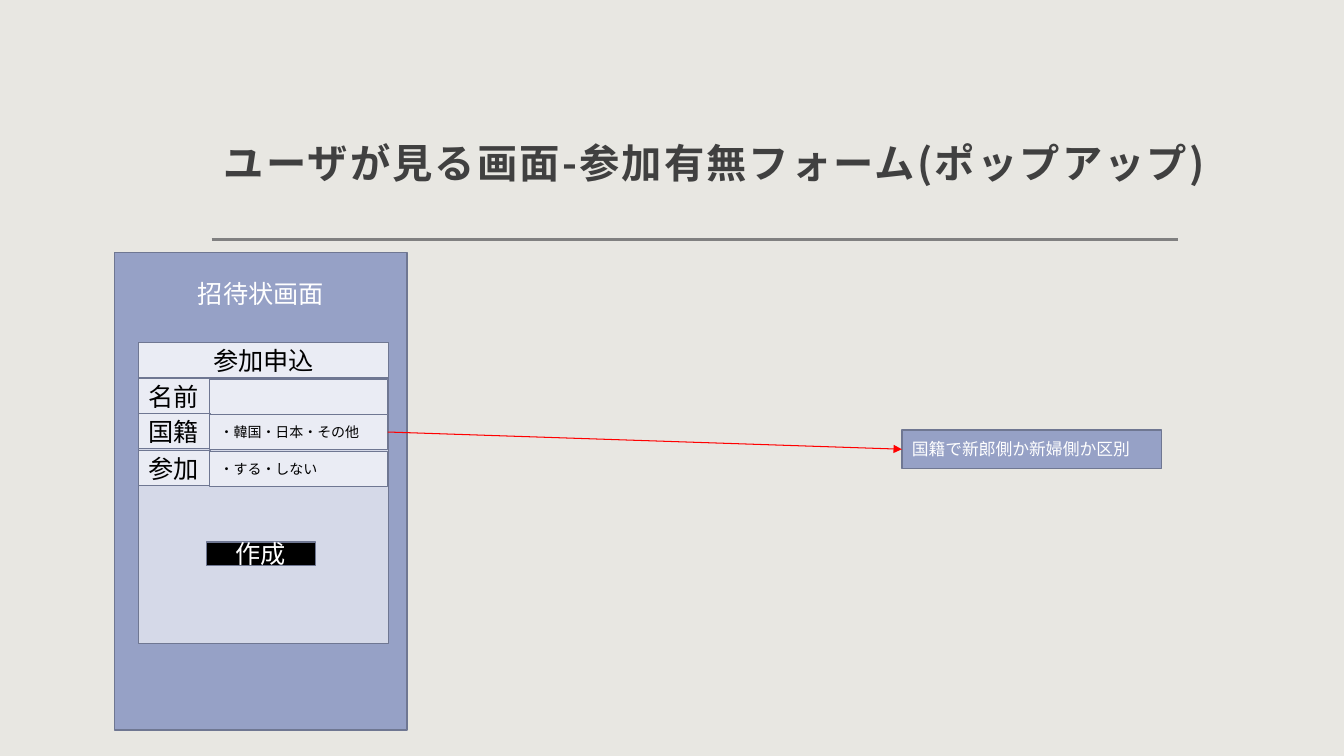
from lxml.etree import SubElement
from pptx import Presentation
from pptx.dml.color import RGBColor
from pptx.enum.shapes import MSO_CONNECTOR, MSO_SHAPE
from pptx.enum.text import MSO_ANCHOR, PP_ALIGN
from pptx.oxml.ns import qn
from pptx.util import Pt


def color(value):
    return RGBColor.from_string(value)


def apply_format(target, values):
    for name, value in values.items():
        setattr(target, name, value)


class ScreenSlide:
    font_name = "Noto Sans CJK JP"
    outline = "6F7792"
    panel_fill = "96A1C6"
    form_fill = "D5D9E8"
    field_fill = "EAECF4"

    def __init__(self, presentation, background):
        self.slide = presentation.slides.add_slide(presentation.slide_layouts[6])
        self.slide.background.fill.solid()
        self.slide.background.fill.fore_color.rgb = color(background)

    def add_text(self, shape, text, size, ink, frame_format=None, paragraph_format=None,
                 bold=False, spacing=None):
        frame = shape.text_frame
        apply_format(frame, {"word_wrap": True, "vertical_anchor": MSO_ANCHOR.MIDDLE,
                             **(frame_format or {})})
        paragraph = frame.paragraphs[0]
        apply_format(paragraph, {"alignment": PP_ALIGN.LEFT, **(paragraph_format or {})})
        run = paragraph.add_run()
        run.text = text
        apply_format(run.font, {"size": Pt(size), "bold": bold, "name": self.font_name})
        run.font.color.rgb = color(ink)
        properties = run._r.get_or_add_rPr()
        SubElement(properties, qn("a:ea")).set("typeface", self.font_name)
        if spacing:
            properties.set("spc", str(spacing))

    def title(self, box, text):
        shape = self.slide.shapes.add_textbox(*map(Pt, box))
        margins = {"margin_left": Pt(8.64), "margin_right": Pt(8.64),
                   "margin_top": Pt(8.64), "margin_bottom": Pt(7.2)}
        self.add_text(shape, text, 28.8, "404040",
                      {"vertical_anchor": MSO_ANCHOR.BOTTOM, **margins},
                      {"line_spacing": 1.3}, bold=True, spacing=150)

    def box(self, box, fill, text="", size=18, ink="000000", centered=False,
            frame_format=None):
        shape = self.slide.shapes.add_shape(MSO_SHAPE.RECTANGLE, *map(Pt, box))
        shape.shadow.inherit = False
        shape.fill.solid()
        shape.fill.fore_color.rgb = color(fill)
        shape.line.color.rgb = color(self.outline)
        shape.line.width = Pt(1)
        if text:
            alignment = PP_ALIGN.CENTER if centered else PP_ALIGN.LEFT
            self.add_text(shape, text, size, ink, frame_format, {"alignment": alignment})
        return shape

    def line(self, points, ink, width):
        connector = self.slide.shapes.add_connector(MSO_CONNECTOR.STRAIGHT, *map(Pt, points))
        connector.line.color.rgb = color(ink)
        connector.line.width = Pt(width)
        SubElement(connector._element.spPr, qn("a:effectLst"))
        return connector

    def arrow(self, source, target, ink, width):
        connector = self.line((0, 0, 0, 0), ink, width)
        connector.begin_connect(source, 3)
        connector.end_connect(target, 1)
        outline = connector._element.spPr.find(qn("a:ln"))
        SubElement(outline, qn("a:tailEnd")).set("type", "triangle")


def main():
    presentation = Presentation()
    apply_format(presentation, {"slide_width": Pt(960), "slide_height": Pt(540)})
    screen = ScreenSlide(presentation, "E8E7E2")

    screen.line((151.2, 171.2, 841.7, 171.2), "808080", 2)
    screen.title((151.2, 34.6, 756.7, 105.8), "ユーザが見る画面-参加有無フォーム(ポップアップ)")

    screen.box((81.8, 180.2, 209, 341.3), screen.panel_fill, "招待状画面", ink="FFFFFF",
               centered=True,
               frame_format={"vertical_anchor": MSO_ANCHOR.TOP, "margin_top": Pt(18.5)})

    form_left, form_top, form_width, row_height = 99, 244.8, 178.6, 25.2
    screen.box((form_left, form_top, form_width, 214.8), screen.form_fill)
    screen.box((form_left, form_top, form_width, row_height), screen.field_fill,
               "参加申込", centered=True)

    rows = [
        (270.5, "名前", ""),
        (295.4, "国籍", "・韓国・日本・その他"),
        (321.8, "参加", "・する・しない"),
    ]
    values = {}
    for top, label, value in rows:
        screen.box((form_left, top, 51.6, row_height), screen.field_fill, label)
        values[label] = screen.box((149.8, top + 0.6, 127.2, row_height),
                                   screen.field_fill, value, 10)

    screen.box((147.4, 387.2, 78, 16.6), "000000", "作成", ink="FFFFFF", centered=True)
    note = screen.box((644.2, 307.2, 185.6, 27.4), screen.panel_fill,
                      "国籍で新郎側か新婦側か区別", 12, "FFFFFF")
    screen.arrow(values["国籍"], note, "FF0000", 0.75)

    presentation.save("out.pptx")


if __name__ == "__main__":
    main()
